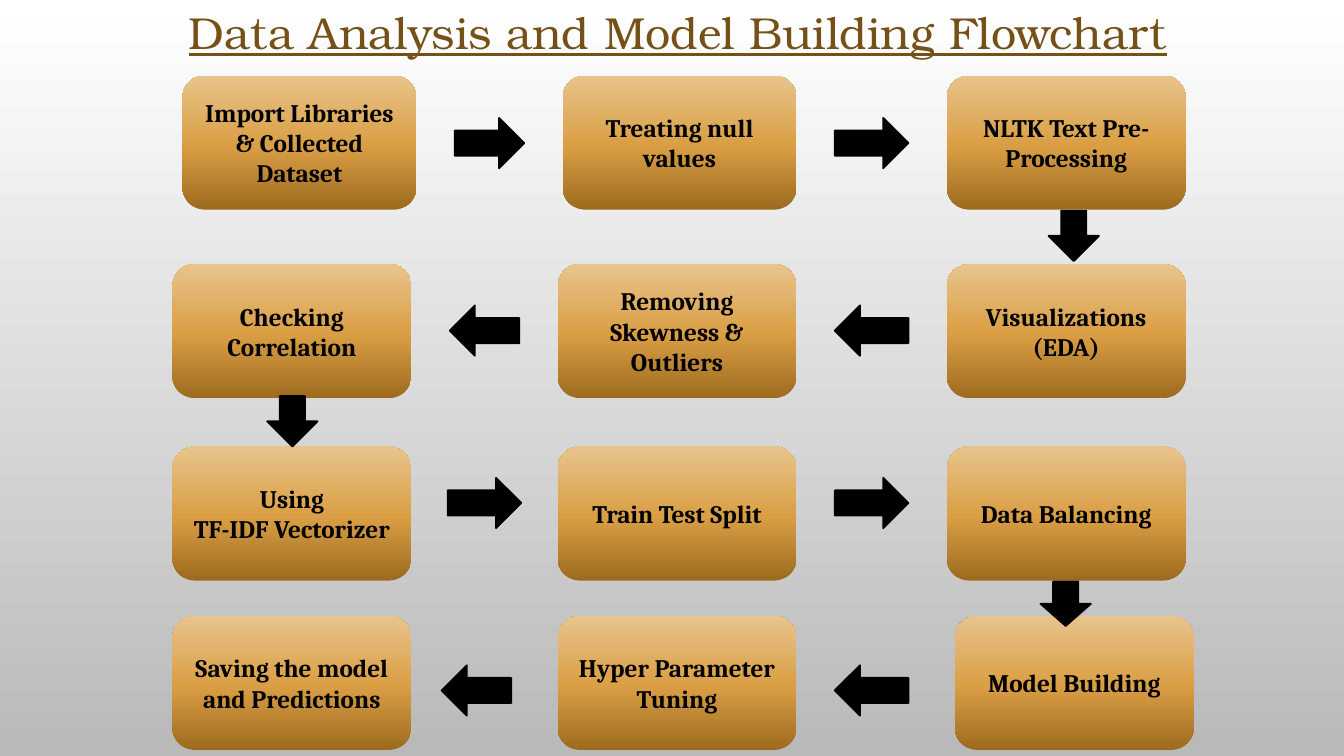
import copy
import pptx
import pptx.dml.color
import pptx.enum.shapes
import pptx.enum.text
import pptx.oxml.ns
import pptx.util

Inches = pptx.util.Inches
Pt = pptx.util.Pt
RGBColor = pptx.dml.color.RGBColor
SHAPE = pptx.enum.shapes.MSO_SHAPE
ALIGN = pptx.enum.text.PP_ALIGN
ANCHOR = pptx.enum.text.MSO_ANCHOR

WHITE = RGBColor(0xFF, 0xFF, 0xFF)
GREY = RGBColor(0xB9, 0xB9, 0xB9)
BLACK = RGBColor(0, 0, 0)
BROWN = RGBColor(0x75, 0x50, 0x17)
DARK = RGBColor(0x9D, 0x6B, 0x1F)
GOLD = RGBColor(0xDA, 0x9F, 0x45)
LIGHT = RGBColor(0xE8, 0xC4, 0x8C)


def shade(fill, angle, stops):
    fill.gradient()
    fill.gradient_angle = angle
    for stop, (pos, color) in zip(fill.gradient_stops, stops):
        stop.position = pos
        stop.color.rgb = color


def style(frame, name, size, color):
    for para in frame.paragraphs:
        para.alignment = ALIGN.CENTER
        for run in para.runs:
            run.font.name = name
            run.font.size = Pt(size)
            run.font.color.rgb = color


deck = pptx.Presentation()
deck.slide_width = Inches(13.33)
deck.slide_height = Inches(7.5)
slide = deck.slides.add_slide(deck.slide_layouts[5])
shade(slide.background.fill, 270, [(0, WHITE), (1, GREY)])

title = slide.shapes.title
title.left, title.top = Inches(0.59), Inches(0)
title.width, title.height = Inches(12.27), Inches(0.94)
frame = title.text_frame
frame.text = "Data Analysis and Model Building Flowchart"
frame.vertical_anchor = ANCHOR.TOP
frame.auto_size = pptx.enum.text.MSO_AUTO_SIZE.NONE
style(frame, "TeX Gyre Bonum", 32, BROWN)
frame.paragraphs[0].runs[0].font.underline = True

rows = [
    (0.75, [(1.81, 2.32, "Import Libraries & Collected Dataset"),
            (5.58, 2.32, "Treating null values"),
            (9.39, 2.37, "NLTK Text Pre-Processing")]),
    (2.62, [(1.71, 2.37, "Checking Correlation"),
            (5.53, 2.37, "Removing Skewness & Outliers"),
            (9.39, 2.37, "Visualizations\n(EDA)")]),
    (4.43, [(1.71, 2.37, "Using\nTF-IDF Vectorizer"),
            (5.53, 2.37, "Train Test Split"),
            (9.39, 2.37, "Data Balancing")]),
    (6.11, [(1.71, 2.37, "Saving the model and Predictions"),
            (5.53, 2.37, "Hyper Parameter Tuning"),
            (9.47, 2.37, "Model Building")]),
]
for top, steps in rows:
    for left, width, text in steps:
        box = slide.shapes.add_shape(
            SHAPE.FLOWCHART_ALTERNATE_PROCESS,
            Inches(left), Inches(top), Inches(width), Inches(1.33))
        box.shadow.inherit = False
        box.line.fill.background()
        box.fill.gradient()
        stops = box._element.spPr.find(".//" + pptx.oxml.ns.qn("a:gsLst"))
        stops.append(copy.deepcopy(stops[0]))
        shade(box.fill, 90, [(0, DARK), (0.48, GOLD), (1, LIGHT)])
        frame = box.text_frame
        frame.text = text
        frame.word_wrap = True
        frame.vertical_anchor = ANCHOR.MIDDLE
        style(frame, "Cambria", 18, BLACK)
        for para in frame.paragraphs:
            para.runs[0].font.bold = True

arrows = [
    (SHAPE.RIGHT_ARROW, 4.51, 1.17, 0.69, 0.5),
    (SHAPE.RIGHT_ARROW, 8.28, 1.17, 0.73, 0.5),
    (SHAPE.DOWN_ARROW, 10.4, 2.09, 0.5, 0.5),
    (SHAPE.LEFT_ARROW, 8.28, 3.03, 0.73, 0.5),
    (SHAPE.LEFT_ARROW, 4.46, 3.03, 0.69, 0.5),
    (SHAPE.DOWN_ARROW, 2.65, 3.93, 0.5, 0.5),
    (SHAPE.RIGHT_ARROW, 4.44, 4.74, 0.73, 0.5),
    (SHAPE.RIGHT_ARROW, 8.28, 4.74, 0.73, 0.5),
    (SHAPE.DOWN_ARROW, 10.32, 5.77, 0.5, 0.44),
    (SHAPE.LEFT_ARROW, 8.28, 6.6, 0.73, 0.5),
    (SHAPE.LEFT_ARROW, 4.38, 6.6, 0.69, 0.5),
]
for kind, left, top, width, height in arrows:
    arrow = slide.shapes.add_shape(
        kind, Inches(left), Inches(top), Inches(width), Inches(height))
    arrow.shadow.inherit = False
    arrow.fill.solid()
    arrow.fill.fore_color.rgb = BLACK
    arrow.line.color.rgb = BLACK
    arrow.line.width = Pt(1.25)

deck.save("out.pptx")
